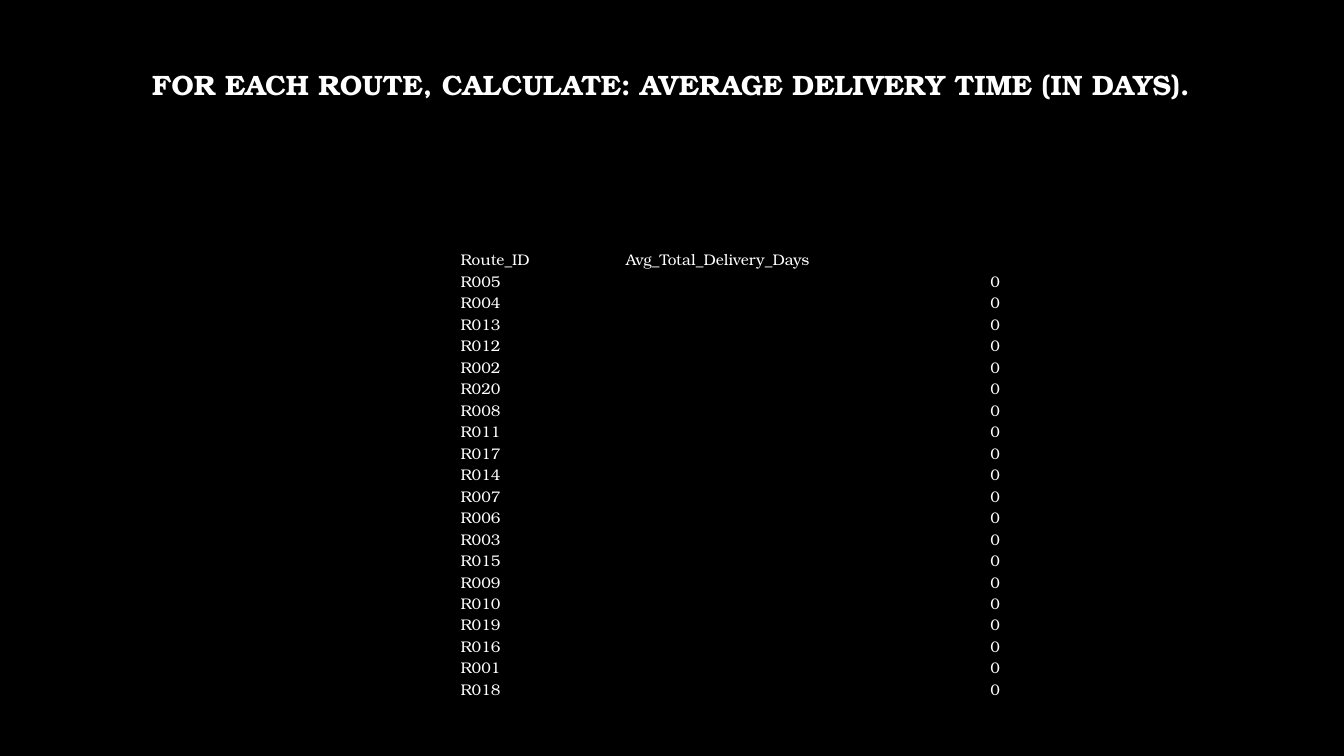
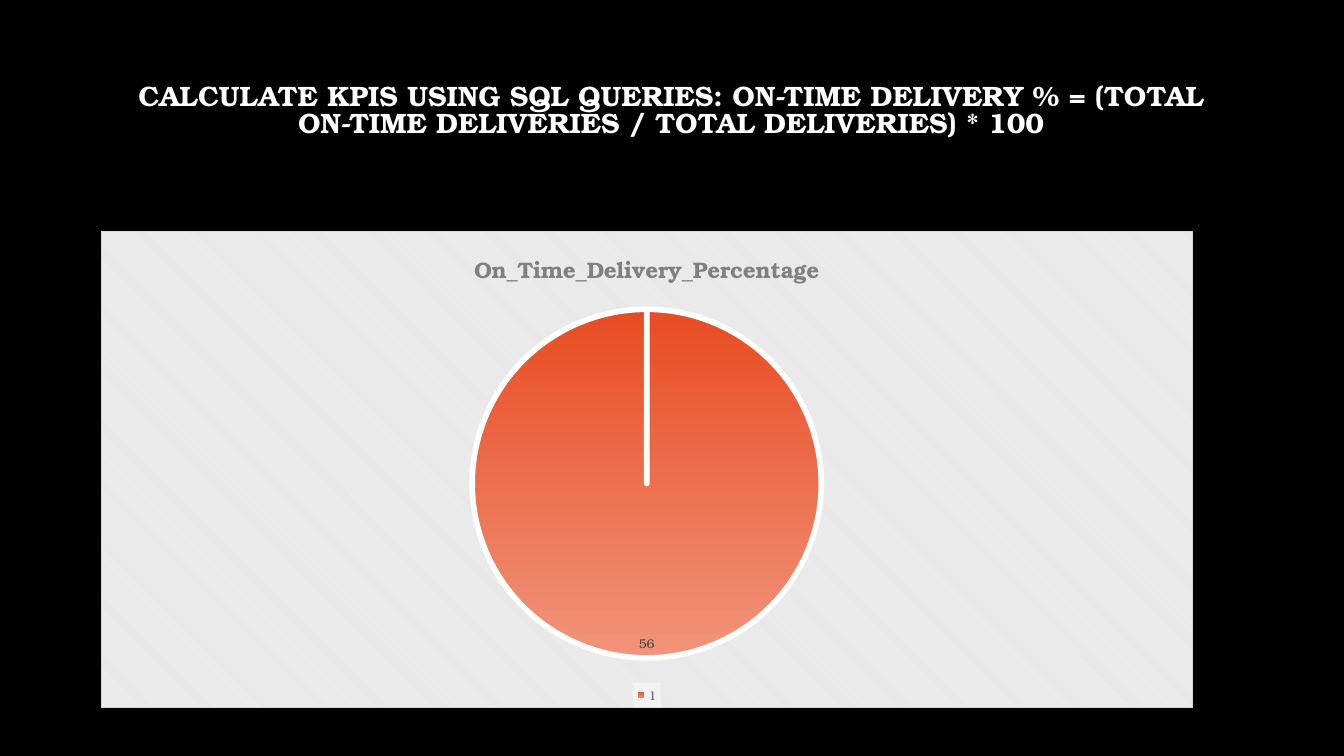
from dataclasses import dataclass

from lxml import etree
from pptx import Presentation
from pptx import util as u
from pptx.chart import data as cd
from pptx.dml import color as col
from pptx.enum import chart as ec
from pptx.enum import text as et
from pptx.oxml import ns, parse_xml

Pt = u.Pt


@dataclass(frozen=True)
class Theme:
    font: str = "TeX Gyre Bonum"
    back: str = "000000"
    ink: str = "FFFFFF"
    head: str = "808080"
    key: str = "595959"
    label: str = "404040"
    panel: str = "E6E6E6"
    edge: str = "D9D9D9"
    chip: str = "F2F2F2"
    pie: tuple = ("E84C22", "F1947A")
    title: int = 20
    cell: int = 11
    name: int = 16
    small: int = 9


T = Theme()
PLAIN = "{2D5ABB26-0587-4C30-8999-92F81FD0307C}"
ROUTES = (5, 4, 13, 12, 2, 20, 8, 11, 17, 14, 7, 6, 3, 15, 9, 10, 19, 16, 1, 18)


def rgb(code):
    return col.RGBColor.from_string(code)


def style(font, size, code, bold=False):
    font.name, font.size, font.bold = T.font, Pt(size), bold
    font.color.rgb = rgb(code)


def write(para, words, size, code, bold=False):
    run = para.add_run()
    run.text = words
    style(run.font, size, code, bold)


def add_slide(deck, words, top):
    slide = deck.slides.add_slide(deck.slide_layouts[6])
    fill = slide.background.fill
    fill.solid()
    fill.fore_color.rgb = rgb(T.back)
    frame = slide.shapes.add_textbox(Pt(72), Pt(top), Pt(815), Pt(50)).text_frame
    frame.word_wrap = True
    frame.margin_top = frame.margin_bottom = 0
    para = frame.paragraphs[0]
    para.alignment = et.PP_ALIGN.CENTER
    para.line_spacing = 0.8
    write(para, words, T.title, T.ink, True)
    return slide


def fill_cell(cell, words, align):
    cell.fill.background()
    cell.vertical_anchor = et.MSO_ANCHOR.BOTTOM
    cell.margin_left = cell.margin_right = cell.margin_top = Pt(0.72)
    cell.margin_bottom = 0
    para = cell.text_frame.paragraphs[0]
    para.alignment = align
    write(para, words, T.cell, T.ink)


def add_grid(slide, rows, spot, wides, highs):
    frame = slide.shapes.add_table(
        len(rows), len(wides), *map(Pt, spot), Pt(sum(wides)), Pt(sum(highs))
    )
    grid = frame.table
    grid.first_row = grid.horz_banding = False
    frame.element.find(".//" + ns.qn("a:tableStyleId")).text = PLAIN
    for part, wide in zip(grid.columns, wides):
        part.width = Pt(wide)
    for part, high in zip(grid.rows, highs):
        part.height = Pt(high)
    for r, row in enumerate(rows):
        for c, words in enumerate(row):
            right = r > 0 and c == 1
            align = et.PP_ALIGN.RIGHT if right else et.PP_ALIGN.LEFT
            fill_cell(grid.cell(r, c), words, align)


def paint(node, inner):
    shape = parse_xml(f"<c:spPr {ns.nsdecls('c', 'a')}>{inner}</c:spPr>")
    node.find(ns.qn("c:txPr")).addprevious(shape)


def place_plot(chart, x, y, w, h):
    area = chart.element.find(".//" + ns.qn("c:plotArea"))
    for old in area.findall(ns.qn("c:layout")):
        area.remove(old)
    layout = etree.Element(ns.qn("c:layout"))
    hand = etree.SubElement(layout, ns.qn("c:manualLayout"))
    for tag, val in (
        ("layoutTarget", "inner"), ("xMode", "edge"), ("yMode", "edge"),
        ("x", x), ("y", y), ("w", w), ("h", h),
    ):
        etree.SubElement(hand, ns.qn("c:" + tag)).set("val", str(val))
    area.insert(0, layout)


def add_pie(slide, name, cats, vals, box):
    data = cd.CategoryChartData()
    data.categories = cats
    data.add_series(name, vals)
    chart = slide.shapes.add_chart(ec.XL_CHART_TYPE.PIE, *map(Pt, box), data).chart
    style(chart.font, 10, T.ink)
    chart.has_title = True
    write(chart.chart_title.text_frame.paragraphs[0], name, T.name, T.head, True)
    chart.has_legend = True
    key = chart.legend
    key.position = ec.XL_LEGEND_POSITION.BOTTOM
    key.include_in_layout = False
    style(key.font, T.small, T.key)

    plot = chart.plots[0]
    plot.vary_by_categories = True
    slice_look = plot.series[0].points[0].format
    slice_look.fill.gradient()
    slice_look.fill.gradient_angle = 270
    for stop, code, pos in zip(slice_look.fill.gradient_stops, T.pie, (0, 1)):
        stop.color.rgb = rgb(code)
        stop.position = pos
    slice_look.line.color.rgb = rgb(T.ink)
    slice_look.line.width = Pt(4)
    plot.has_data_labels = True
    label = plot.data_labels
    label.show_value = True
    label.show_percentage = False
    label.position = ec.XL_LABEL_POSITION.INSIDE_END
    style(label.font, T.small, T.label)

    place_plot(chart, 0.34, 0.16, 0.32, 0.74)
    paint(
        chart.element,
        f'<a:pattFill prst="dkDnDiag"><a:fgClr><a:srgbClr val="{T.ink}"/></a:fgClr>'
        f'<a:bgClr><a:srgbClr val="{T.panel}"/></a:bgClr></a:pattFill>'
        f'<a:ln w="{Pt(0.75)}"><a:solidFill><a:srgbClr val="{T.edge}"/>'
        "</a:solidFill></a:ln>",
    )
    paint(
        chart.element.find(".//" + ns.qn("c:legend")),
        f'<a:solidFill><a:srgbClr val="{T.chip}"/></a:solidFill>',
    )


def main():
    deck = Presentation()
    deck.slide_width, deck.slide_height = Pt(960), Pt(540)

    slide = add_slide(
        deck, "FOR EACH ROUTE, CALCULATE: AVERAGE DELIVERY TIME (IN DAYS).", 53
    )
    rows = [("Route_ID", "Avg_Total_Delivery_Days")]
    rows += [(f"R{num:03}", "0") for num in ROUTES]
    highs = [26.6] + [15.36] * len(ROUTES)
    add_grid(slide, rows, (328.3, 166.3), (118, 268.6), highs)

    slide = add_slide(
        deck,
        "CALCULATE KPIS USING SQL QUERIES: ON-TIME DELIVERY % = "
        "(TOTAL ON-TIME DELIVERIES / TOTAL DELIVERIES) * 100",
        60.5,
    )
    add_pie(slide, "On_Time_Delivery_Percentage", ["1"], [56], (72, 165, 780, 340.6))

    deck.save("out.pptx")


if __name__ == "__main__":
    main()
